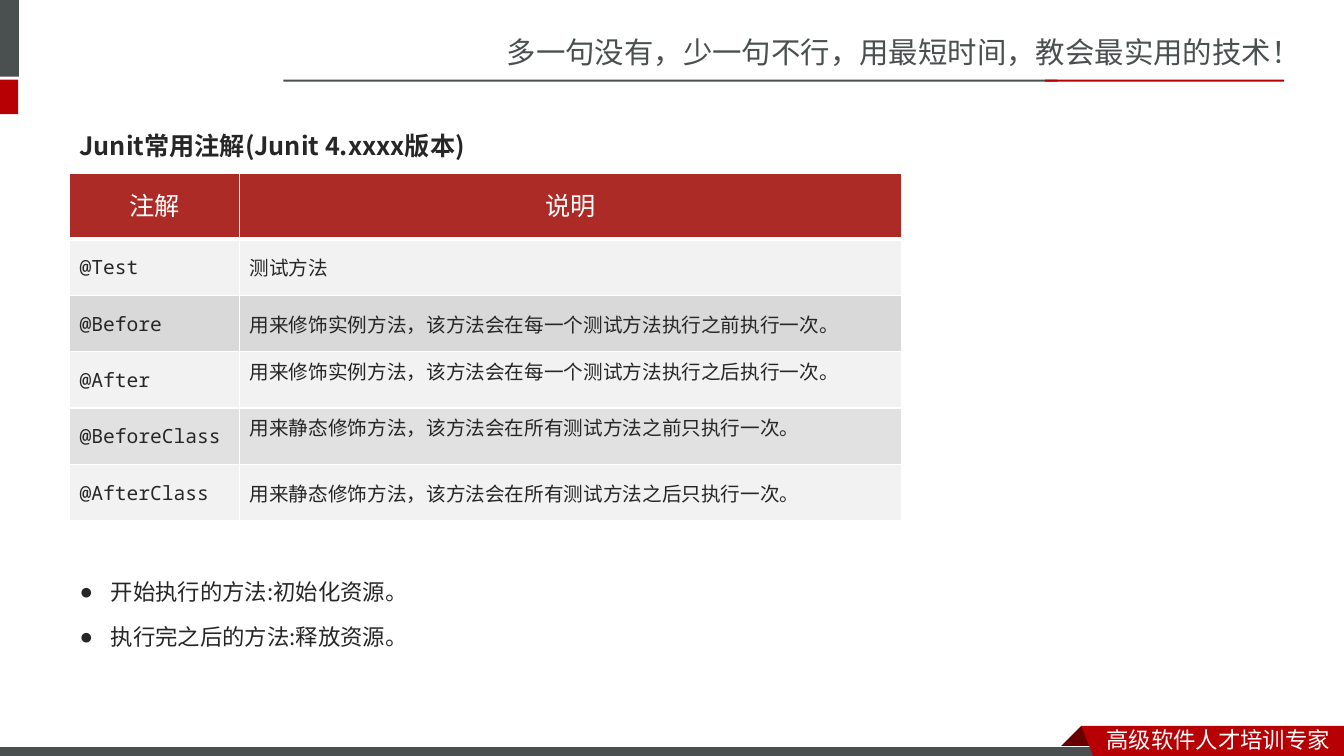
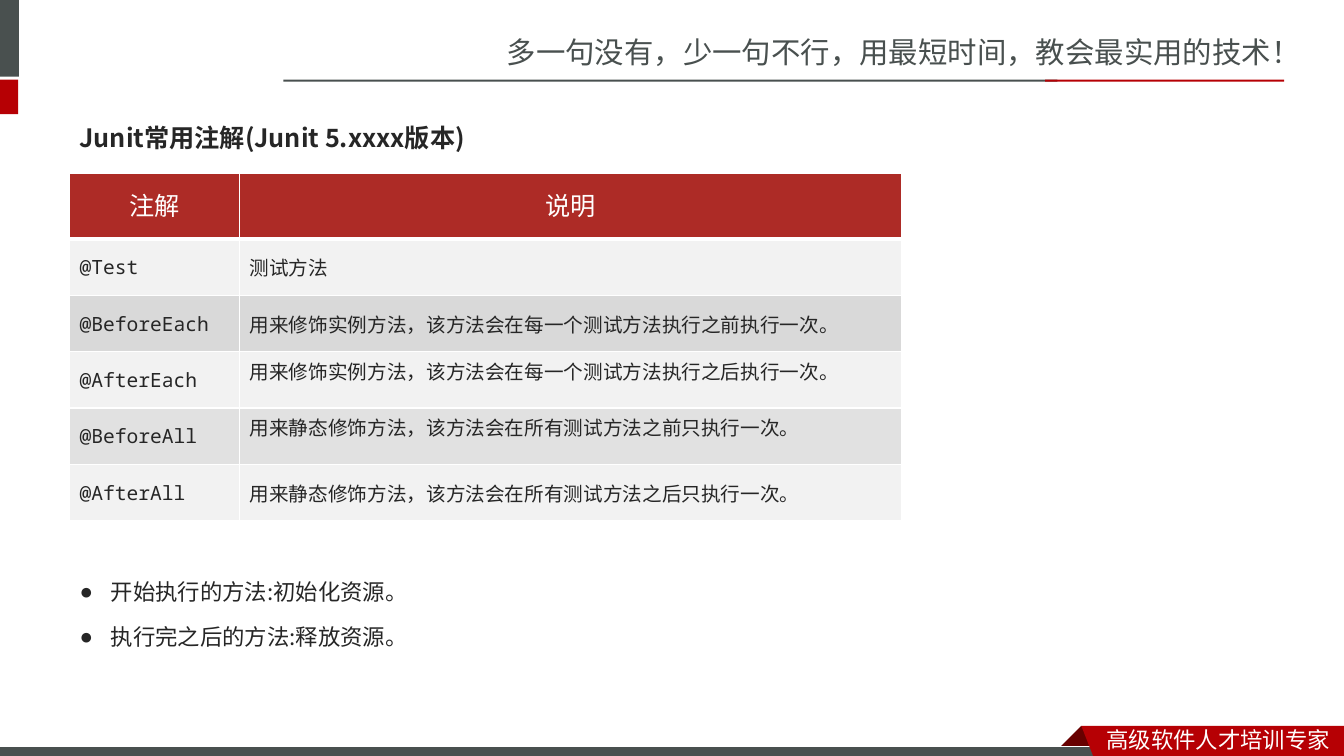
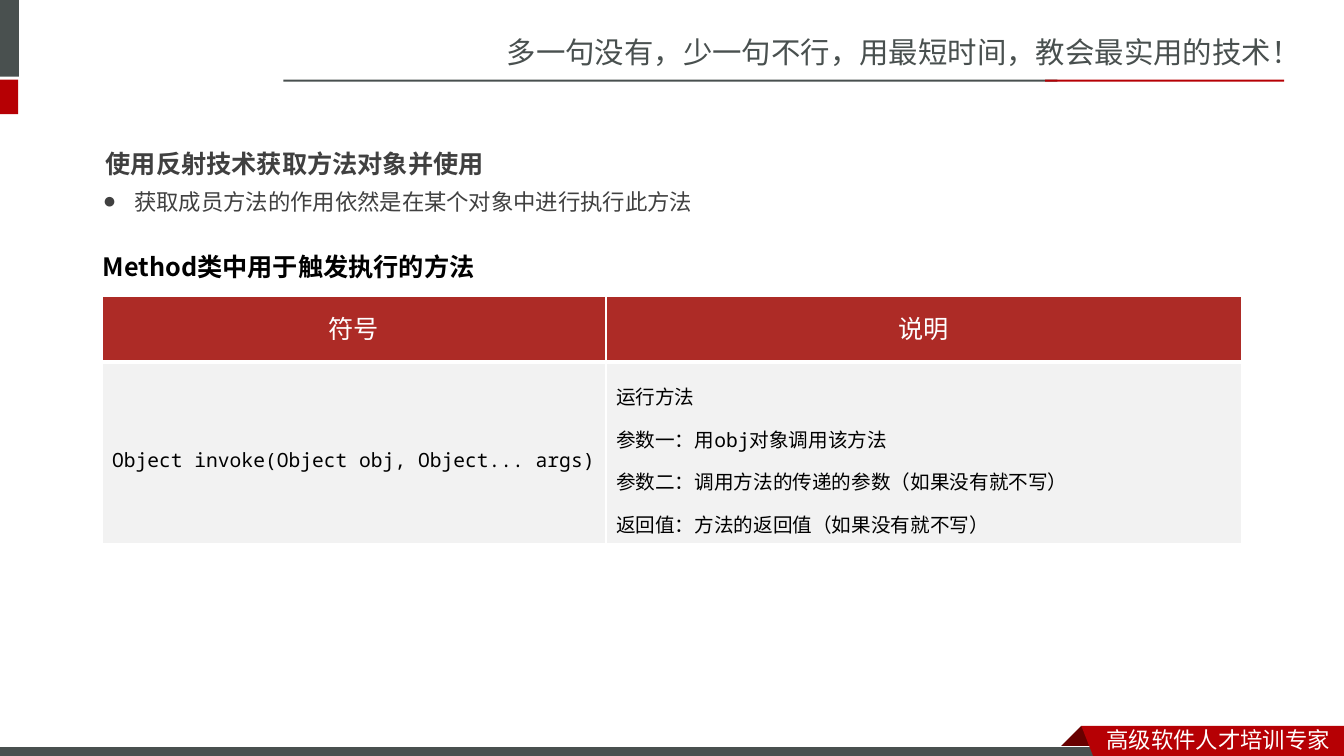
from lxml import etree
from pptx import Presentation
from pptx.dml.color import RGBColor
from pptx.enum import shapes, text
from pptx.oxml import ns
from pptx.util import Cm, Pt

GRAY, RED, DARK_RED, WHITE = "49504F", "B60004", "680000", "FFFFFF"
INK, SOFT_INK, BLACK = "262626", "404040", "000000"
HEAD_FILL, LIGHT, MID, PALE = "AD2B26", "F2F2F2", "D9D9D9", "E1E1E1"
SC, JP, MONO = "Noto Sans CJK SC", "Noto Sans CJK JP", "Noto Sans Mono"
LEFT, CENTER = text.PP_ALIGN.LEFT, text.PP_ALIGN.CENTER
TOP, MIDDLE = text.MSO_ANCHOR.TOP, text.MSO_ANCHOR.MIDDLE

# Frame shared by all slides: left, top, width, height in cm
BARS = [
    ((-0.15, 0, 0.63, 1.93), GRAY),
    ((-0.15, 2.01, 0.61, 0.87), RED),
    ((7.14, 2.01, 19.51, 0.05), GRAY),
    ((26.34, 2.01, 6.02, 0.05), RED),
]
FOOT_BAR = (-0.03, 18.82, 27.94, 0.3)
FOLD = [(27.25, 18.29), (27.81, 18.85), (26.69, 18.85)]
RIBBON = [(27.25, 18.29), (33.87, 18.29), (33.87, 19.15), (27.58, 19.13)]
LABELS = [
    ("多一句没有，少一句不行，用最短时间，教会最实用的技术！",
     (12.52, 0.71, 21.36, 1.19), {"size": 21, "color": GRAY}),
    ("高级软件人才培训专家", (27.64, 18.16, 6.22, 0.94), {"size": 16, "color": WHITE}),
]

# Text formats
TITLE = {"font": JP, "size": 18, "bold": True, "spacing": 1.5}
BULLET = {"font": JP, "size": 16, "bullet": True}
HEAD_CELL = {"font": "Calibri", "size": 18, "color": WHITE, "align": CENTER, "spacing": Pt(24)}
BODY_CELL = {"font": MONO, "size": 14}

MEANINGS = [
    "测试方法",
    "用来修饰实例方法，该方法会在每一个测试方法执行之前执行一次。",
    "用来修饰实例方法，该方法会在每一个测试方法执行之后执行一次。",
    "用来静态修饰方法，该方法会在所有测试方法之前只执行一次。",
    "用来静态修饰方法，该方法会在所有测试方法之后只执行一次。",
]
STEPS = ["开始执行的方法:初始化资源。", "执行完之后的方法:释放资源。"]


def annotations(version, title_top, names):
    return {
        "title": f"Junit常用注解(Junit {version}.xxxx版本)",
        "title_at": (1.75, title_top, 29.49, 1.3),
        "list": STEPS,
        "list_at": (1.75, 13.77, 16.94, 2.97),
        "list_spacing": 1.67,
        "color": INK,
        "table": {
            "rows": [("注解", "说明"), *zip(names, MEANINGS)],
            "at": (1.75, 4.37),
            "cols": (4.29, 16.68),
            "heights": [1.65] + [1.42] * len(names),
            "fills": [HEAD_FILL, LIGHT, MID, LIGHT, PALE, LIGHT],
            "top_cells": {(3, 1), (4, 1)},
            "format": {"color": INK},
        },
    }


SLIDES = [
    annotations(4, 2.82, ["@Test", "@Before", "@After", "@BeforeClass", "@AfterClass"]),
    annotations(5, 2.62, ["@Test", "@BeforeEach", "@AfterEach", "@BeforeAll", "@AfterAll"]),
    {
        "title": "使用反射技术获取方法对象并使用",
        "title_at": (2.41, 3.28, 15.39, 1.3),
        "list": ["获取成员方法的作用依然是在某个对象中进行执行此方法"],
        "list_at": (2.34, 4.32, 17.12, 1.17),
        "list_spacing": 1.5,
        "color": SOFT_INK,
        "heading": "Method类中用于触发执行的方法",
        "heading_at": (2.34, 5.87, 29.44, 1.3),
        "table": {
            "rows": [
                ("符号", "说明"),
                ("Object invoke(Object obj, Object... args)",
                 "运行方法\n参数一：用obj对象调用该方法\n"
                 "参数二：调用方法的传递的参数（如果没有就不写）\n"
                 "返回值：方法的返回值（如果没有就不写）"),
            ],
            "at": (2.57, 7.47),
            "cols": (12.7, 16.03),
            "heights": [1.65, 4.47],
            "fills": [HEAD_FILL, LIGHT],
            "top_cells": set(),
            "format": {"color": BLACK, "spacing": 1.5},
        },
    },
]


def rgb(color):
    return RGBColor.from_string(color)


def box(at):
    return [Cm(v) for v in at]


def write(tf, lines, font=SC, size=16, color=BLACK, bold=False, align=LEFT,
          spacing=1.0, bullet=False):
    """Fill a text frame with one formatted paragraph per line."""
    for i, line in enumerate(lines):
        p = tf.add_paragraph() if i else tf.paragraphs[0]
        p.alignment, p.line_spacing, p.space_before = align, spacing, Pt(0)
        r = p.add_run()
        r.text = line
        for name, value in {"name": font, "size": Pt(size), "bold": bold}.items():
            setattr(r.font, name, value)
        r.font.color.rgb = rgb(color)
        ea = etree.SubElement(r.font._element, ns.qn("a:ea"))
        ea.set("typeface", font if "CJK" in font else SC)
        if bullet:
            pPr = p._p.get_or_add_pPr()
            pPr.set("marL", str(Cm(0.79)))
            pPr.set("indent", str(-Cm(0.79)))
            etree.SubElement(pPr, ns.qn("a:buChar")).set("char", "●")


def set_text(sp, lines, at, **fmt):
    """Place a text shape and fill it, centred on its height."""
    sp.left, sp.top, sp.width, sp.height = box(at)
    tf = sp.text_frame
    tf.word_wrap, tf.auto_size = True, text.MSO_AUTO_SIZE.NONE
    tf.vertical_anchor = MIDDLE
    write(tf, lines, **fmt)


def add_text(slide, lines, at, **fmt):
    sp = slide.shapes.add_textbox(*box(at))
    set_text(sp, lines, at, **fmt)
    return sp


def paint(sp, fill, line=None):
    sp.shadow.inherit = False
    sp.fill.solid()
    sp.fill.fore_color.rgb = rgb(fill)
    if line:
        sp.line.color.rgb = rgb(line)
        sp.line.width = Pt(0.75)
    else:
        sp.line.fill.background()
    return sp


def add_bar(slide, at, fill, line=None):
    return paint(slide.shapes.add_shape(shapes.MSO_SHAPE.RECTANGLE, *box(at)), fill, line)


def add_outline(slide, points, fill):
    start, *rest = [box(pt) for pt in points]
    builder = slide.shapes.build_freeform(*start)
    builder.add_line_segments(rest, close=True)
    return paint(builder.convert_to_shape(), fill)


def move_frame_to_layout(slide):
    """Draw the shared frame, then hand it to the layout so every slide shows it."""
    parts = [add_bar(slide, at, fill) for at, fill in BARS]
    parts += [
        add_outline(slide, FOLD, DARK_RED),
        add_bar(slide, FOOT_BAR, GRAY, WHITE),
        add_outline(slide, RIBBON, RED),
    ]
    parts += [add_text(slide, [line], at, **fmt) for line, at, fmt in LABELS]
    tree = slide.slide_layout.element.cSld.spTree
    for sp in parts:
        tree.append(sp.element)


def set_borders(cell, row):
    widths = {"L": 1, "R": 1, "T": 3 if row == 1 else 1, "B": 3 if row == 0 else 1}
    tcPr = cell._tc.get_or_add_tcPr()
    for side, width in widths.items():
        ln = etree.SubElement(tcPr, ns.qn(f"a:ln{side}"), w=str(Pt(width)))
        fill = etree.SubElement(ln, ns.qn("a:solidFill"))
        etree.SubElement(fill, ns.qn("a:srgbClr"), val=WHITE)


def add_table(slide, data):
    rows, cols, heights = data["rows"], data["cols"], data["heights"]
    size = (sum(cols), sum(heights))
    table = slide.shapes.add_table(len(rows), len(cols), *box(data["at"] + size)).table
    table.horz_banding = False
    for column, width in zip(table.columns, cols):
        column.width = Cm(width)
    for i, row in enumerate(rows):
        table.rows[i].height = Cm(heights[i])
        fmt = {**BODY_CELL, **data["format"]} if i else HEAD_CELL
        for j, value in enumerate(row):
            cell = table.cell(i, j)
            cell.vertical_anchor = TOP if (i, j) in data["top_cells"] else MIDDLE
            set_borders(cell, i)
            cell.fill.solid()
            cell.fill.fore_color.rgb = rgb(data["fills"][i])
            write(cell.text_frame, value.split("\n"), **fmt)


def main():
    prs = Presentation()
    prs.slide_width, prs.slide_height = Cm(33.87), Cm(19.05)
    layout = prs.slide_layouts[1]
    for i, data in enumerate(SLIDES):
        slide = prs.slides.add_slide(layout)
        if i == 0:
            move_frame_to_layout(slide)
        title, body = slide.placeholders
        color = data["color"]
        set_text(title, [data["title"]], data["title_at"], color=color, **TITLE)
        set_text(body, data["list"], data["list_at"], color=color,
                 spacing=data["list_spacing"], **BULLET)
        if "heading" in data:
            add_text(slide, [data["heading"]], data["heading_at"], **TITLE)
        add_table(slide, data["table"])
    prs.save("out.pptx")


if __name__ == "__main__":
    main()
